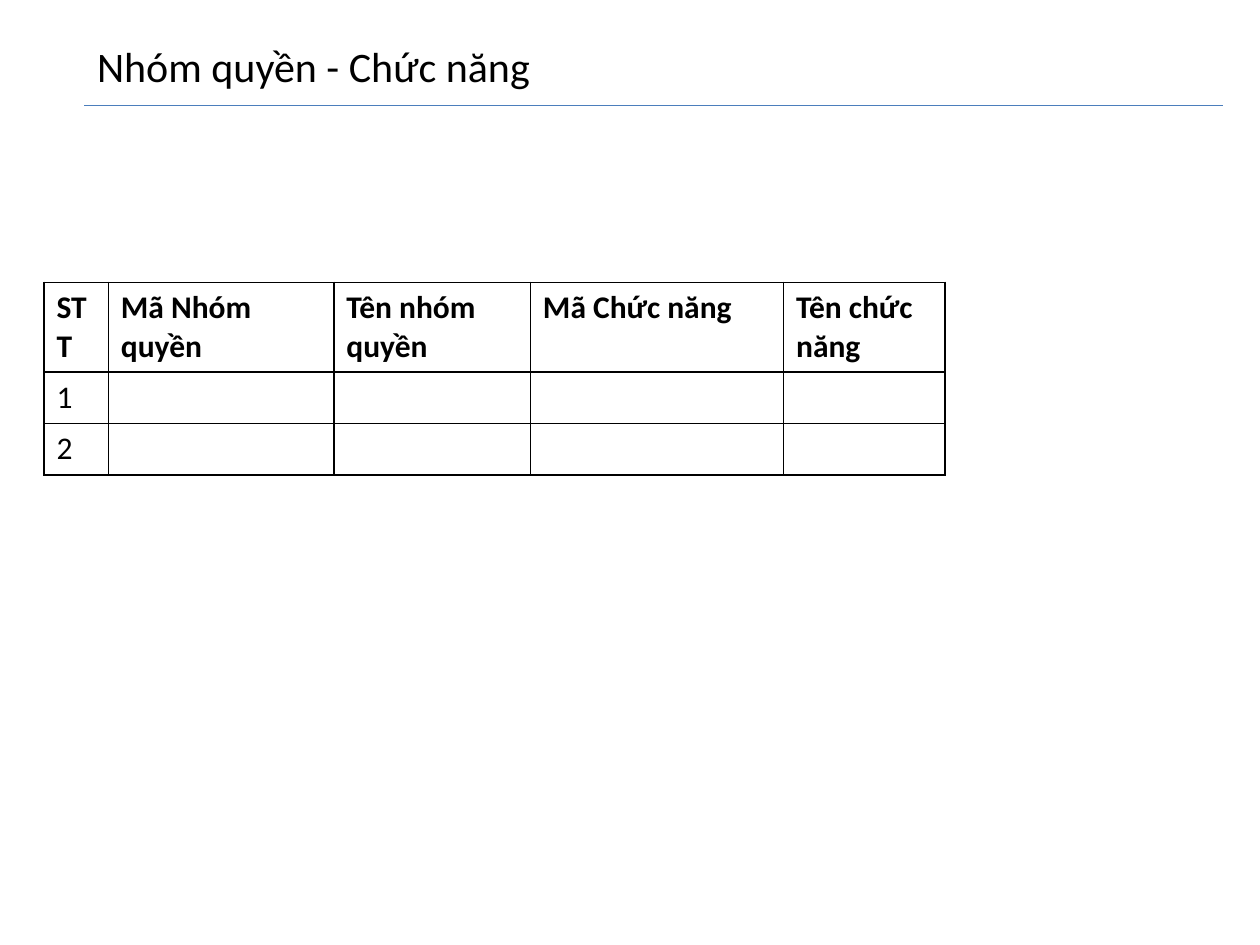
from dataclasses import dataclass

from lxml import etree
from pptx import Presentation
from pptx.dml.color import RGBColor
from pptx.enum.shapes import MSO_CONNECTOR
from pptx.enum.text import MSO_ANCHOR, MSO_AUTO_SIZE, PP_ALIGN
from pptx.oxml.ns import qn
from pptx.util import Inches, Pt

STRAIGHT = MSO_CONNECTOR.STRAIGHT
TOP = MSO_ANCHOR.TOP
LEFT = PP_ALIGN.LEFT
NO_FIT = MSO_AUTO_SIZE.NONE
TITLE_ONLY = 5


@dataclass(frozen=True)
class Theme:
    font: str = "Calibri"
    ink: str = "000000"
    rule: str = "4B7EBC"
    title: int = 24
    body: int = 18
    rule_width: float = 0.75
    border: float = 1


THEME = Theme()
EDGE, WIDTH = 0.67, 9.04
COLS = (0.51, 1.79, 1.56, 2.01, 1.28)
ROW = 0.41
HEADS = ("STT", "Mã Nhóm quyền", "Tên nhóm quyền", "Mã Chức năng", "Tên chức năng")
BLANKS = ("",) * (len(HEADS) - 1)
ROWS = (HEADS, ("1", *BLANKS), ("2", *BLANKS))


def style(font, size, bold=False):
    font.name = THEME.font
    font.size = Pt(size)
    font.bold = bold
    font.color.rgb = RGBColor.from_string(THEME.ink)


def add_title(slide, text):
    title = slide.shapes.title
    title.left, title.top = Inches(EDGE), Inches(0.27)
    title.width, title.height = Inches(WIDTH), Inches(0.5)
    frame = title.text_frame
    frame.text = text
    frame.word_wrap = True
    frame.auto_size = NO_FIT
    frame.vertical_anchor = TOP
    para = frame.paragraphs[0]
    para.alignment = LEFT
    style(para.runs[0].font, THEME.title)


def add_rule(slide, top):
    rule = slide.shapes.add_connector(
        STRAIGHT, Inches(EDGE), Inches(top), Inches(EDGE + WIDTH), Inches(top))
    rule.line.color.rgb = RGBColor.from_string(THEME.rule)
    rule.line.width = Pt(THEME.rule_width)
    etree.SubElement(rule._element.spPr, qn("a:effectLst"))


def add_borders(cell):
    props = cell._tc.get_or_add_tcPr()
    for pos, side in enumerate(("lnL", "lnR", "lnT", "lnB")):
        line = etree.Element(qn(f"a:{side}"), w=str(Pt(THEME.border)))
        fill = etree.SubElement(line, qn("a:solidFill"))
        etree.SubElement(fill, qn("a:srgbClr"), val=THEME.ink)
        props.insert(pos, line)  # borders come before the fill


def fill_cell(cell, text, bold):
    cell.text = text
    cell.fill.background()
    add_borders(cell)
    para = cell.text_frame.paragraphs[0]
    style(para.runs[0].font if text else para.font, THEME.body, bold)


def add_grid(slide, left, top):
    table = slide.shapes.add_table(
        len(ROWS), len(COLS), Inches(left), Inches(top),
        Inches(sum(COLS)), Inches(ROW * len(ROWS))).table
    table.horz_banding = False
    for col, width in zip(table.columns, COLS):
        col.width = Inches(width)
    for r, texts in enumerate(ROWS):
        table.rows[r].height = Inches(ROW)
        for c, text in enumerate(texts):
            fill_cell(table.cell(r, c), text, bold=r == 0)


def main():
    deck = Presentation()
    deck.slide_width, deck.slide_height = Inches(10), Inches(7.5)
    slide = deck.slides.add_slide(deck.slide_layouts[TITLE_ONLY])
    add_grid(slide, 0.35, 2.24)
    add_title(slide, "Nhóm quyền - Chức năng")
    add_rule(slide, 0.84)
    deck.save("out.pptx")


if __name__ == "__main__":
    main()
